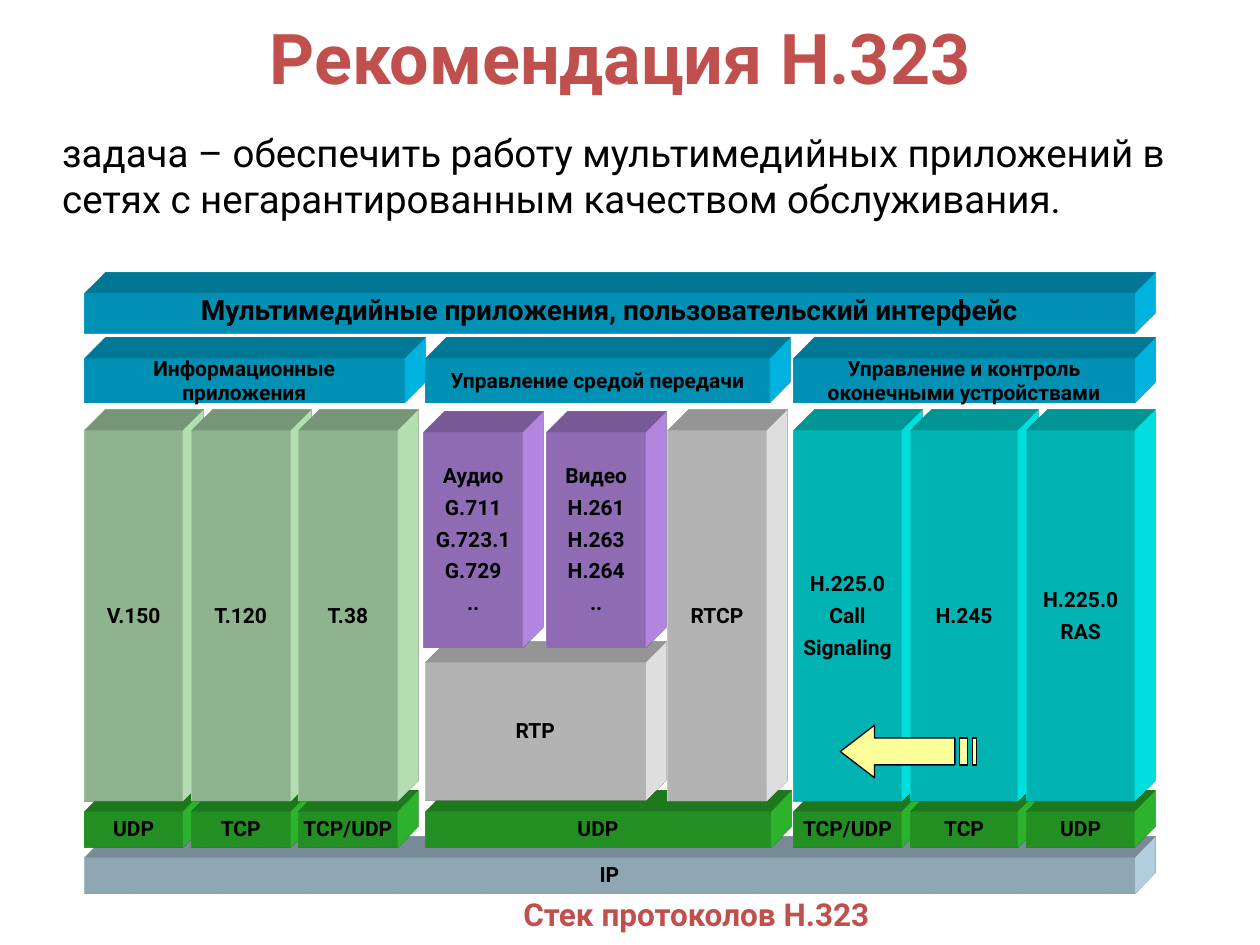
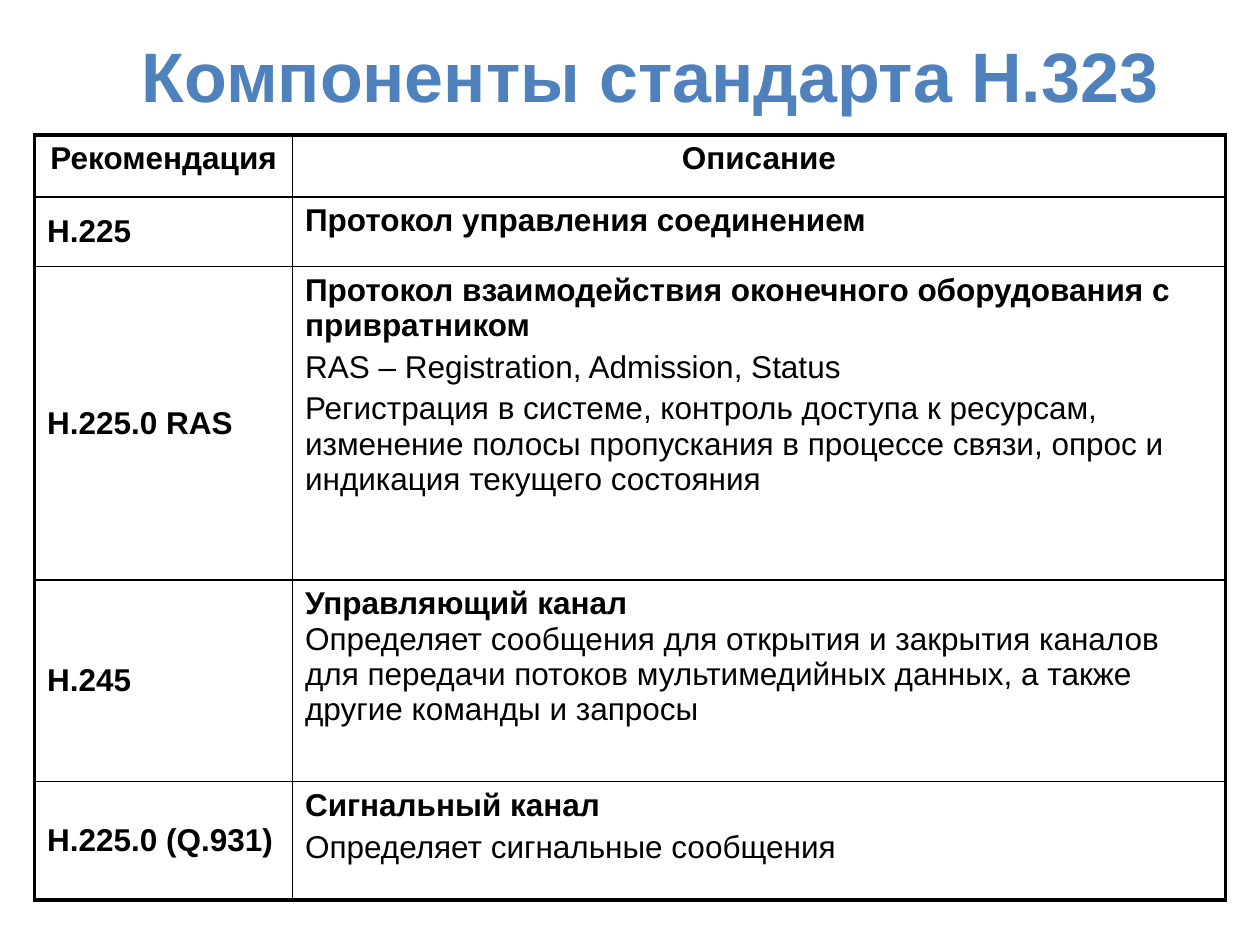
from dataclasses import dataclass
from typing import NamedTuple

from lxml import etree
from pptx import Presentation
from pptx.dml.color import RGBColor
from pptx.enum.shapes import MSO_SHAPE
from pptx.enum.text import MSO_ANCHOR, MSO_AUTO_SIZE, PP_ALIGN
from pptx.oxml.ns import qn
from pptx.util import Cm, Pt

RECT = MSO_SHAPE.RECTANGLE
LEFT, CENTER = PP_ALIGN.LEFT, PP_ALIGN.CENTER
TOP, MIDDLE = MSO_ANCHOR.TOP, MSO_ANCHOR.MIDDLE
TITLE_ONLY, TITLE_BODY = 5, 1


@dataclass(frozen=True)
class Theme:
    diagram_font: str = "Roboto"
    table_font: str = "Arial"
    ink: str = "000000"
    red: str = "C0504D"
    blue: str = "4F81BD"
    arrow: str = "FFFF99"
    app: str = "00CCFF"
    data: str = "CCFFCC"
    codec: str = "CC99FF"
    media: str = "FFFFFF"
    control: str = "00FFFF"
    transport: str = "33CC33"
    network: str = "CCECFF"
    title_size: int = 40
    body_size: int = 22
    text_size: int = 18
    app_size: int = 16
    block_size: int = 12


T = Theme()
DEPTH = Cm(1.2)


class Block(NamedTuple):
    text: str
    x: float
    y: float
    w: float
    h: float
    color: str


class Run(NamedTuple):
    text: str
    bold: bool = False


def rgb(color: str) -> RGBColor:
    return RGBColor.from_string(color)


def write(tf, text, *, size, font=T.diagram_font, color=T.ink, bold=False,
          align=LEFT, anchor=TOP, wrap=True, gap=0, spacing=1.0) -> None:
    """Fill a frame with a string, one paragraph to each of its lines."""
    tf.word_wrap = wrap
    tf.auto_size = MSO_AUTO_SIZE.NONE
    tf.vertical_anchor = anchor
    fill_paragraphs(tf, [[Run(line, bold)] for line in text.split("\n")],
                    size=size, font=font, color=color, align=align, gap=gap,
                    spacing=spacing)


def fill_paragraphs(tf, paragraphs, *, size, font, color=T.ink, align=LEFT,
                    gap=0, spacing=1.0) -> None:
    """Write paragraphs; the runs of one paragraph stand on separate lines."""
    for i, runs in enumerate(paragraphs):
        p = tf.add_paragraph() if i else tf.paragraphs[0]
        p.alignment = align
        p.line_spacing = spacing
        p.space_before = Pt(gap if i else 0)
        for j, run in enumerate(runs):
            if j:
                p.add_line_break()
            r = p.add_run()
            r.text = run.text
            r.font.name, r.font.size, r.font.bold = font, Pt(size), run.bold
            r.font.color.rgb = rgb(color)


def place(sp, x: float, y: float, w: float, h: float) -> None:
    sp.left, sp.top, sp.width, sp.height = Cm(x), Cm(y), Cm(w), Cm(h)


def set_title(s, text: str, box: tuple, font: str, color: str) -> None:
    place(s.shapes.title, *box)
    write(s.shapes.title.text_frame, text, size=T.title_size, font=font,
          color=color, bold=True, align=CENTER)


def paint(sp, color: str) -> None:
    sp.shadow.inherit = False
    sp.fill.solid()
    sp.fill.fore_color.rgb = rgb(color)


def extrude(sp, color: str) -> None:
    """Give a shape depth towards the top right."""
    spPr = sp._element.spPr
    scene = etree.SubElement(spPr, qn("a:scene3d"))
    etree.SubElement(scene, qn("a:camera"), prst="legacyObliqueTopRight")
    etree.SubElement(scene, qn("a:lightRig"), rig="legacyFlat3", dir="b")
    solid = etree.SubElement(spPr, qn("a:sp3d"), extrusionH=str(DEPTH),
                             prstMaterial="legacyMatte")
    for bevel in ("a:bevelT", "a:bevelB"):
        etree.SubElement(solid, qn(bevel), w="13500", h="13500", prst="angle")
    extrusion = etree.SubElement(solid, qn("a:extrusionClr"))
    etree.SubElement(extrusion, qn("a:srgbClr"), val=color)


def draw_block(s, b: Block, size=T.block_size, gap=4.5, spacing=0.95) -> None:
    sp = s.shapes.add_shape(RECT, Cm(b.x), Cm(b.y), Cm(b.w), Cm(b.h))
    paint(sp, b.color)
    sp.line.fill.background()
    extrude(sp, b.color)
    write(sp.text_frame, b.text, size=size, bold=True, align=CENTER,
          anchor=MIDDLE, wrap=False, gap=gap, spacing=spacing)


def row(texts: list, x: float, step: float, y: float, w: float, h: float,
        color: str) -> list:
    return [Block(t, x + i * step, y, w, h, color) for i, t in enumerate(texts)]


def draw_striped_arrow(s) -> None:
    tip, neck, end, mid, head, shaft = 16.94, 17.63, 19.25, 15.15, 0.53, 0.27
    top, bottom = mid - shaft, mid + shaft
    contours = [[(neck, mid - head), (neck, top), (end, top), (end, bottom),
                 (neck, bottom), (neck, mid + head), (tip, mid)]]
    for x1, x2 in [(19.35, 19.51), (19.61, 19.69)]:
        contours.append([(x2, top), (x2, bottom), (x1, bottom), (x1, top)])
    points = [[(Cm(x), Cm(y)) for x, y in c] for c in contours]
    builder = s.shapes.build_freeform(*points[0][0], scale=1.0)
    for i, contour in enumerate(points):
        if i:
            builder.move_to(*contour[0])
        builder.add_line_segments(contour[1:], close=True)
    sp = builder.convert_to_shape()
    paint(sp, T.arrow)
    sp.line.color.rgb = rgb(T.ink)
    sp.line.width = Pt(0.75)


def build_stack(prs) -> None:
    s = prs.slides.add_slide(prs.slide_layouts[TITLE_BODY])
    set_title(s, "Рекомендация H.323", (1.69, 0.16, 21.62, 1.24),
              T.diagram_font, T.red)

    # Statement of the task, without a bullet
    body = s.placeholders[1]
    place(body, 1, 2.47, 24.4, 2.13)
    pPr = body.text_frame.paragraphs[0]._p.get_or_add_pPr()
    pPr.set("marL", "0")
    pPr.set("indent", "0")
    etree.SubElement(pPr, qn("a:buNone"))
    write(body.text_frame, "задача – обеспечить работу мультимедийных приложений "
          "в сетях с негарантированным качеством обслуживания.", size=T.body_size)

    # Caption
    tb = s.shapes.add_textbox(Cm(10.3), Cm(17.91), Cm(7.92), Cm(1.02))
    write(tb.text_frame, "Стек протоколов Н.323", size=T.text_size, color=T.red,
          bold=True, anchor=MIDDLE, wrap=False)

    # Protocol blocks, from the network layer up
    data_x, data_step, data_w = 1.7, 2.16, 1.99
    media_x = 8.57
    control_x, control_step, control_w = 16, 2.35, 2.17
    port_y, port_h = 16.36, 0.72
    tall_y, tall_h = 8.68, 7.48
    blocks = [
        Block("IP", data_x, 17.29, 21.17, port_h, T.network),
        Block("UDP", media_x, port_y, 6.97, port_h, T.transport),
        Block("RTP", media_x, 13.35, 4.44, 2.8, T.media),
        Block("RTCP", 13.46, tall_y, data_w, tall_h, T.media),
        *row(["TCP/UDP", "TCP", "UDP"], control_x, control_step,
             port_y, control_w, port_h, T.transport),
        *row(["UDP", "TCP"], data_x, data_step,
             port_y, data_w, port_h, T.transport),
        *row(["Аудио\nG.711\nG.723.1\nG.729\n..", "Видео\nH.261\nH.263\nH.264\n.."],
             8.54, 2.48, 8.72, 2, 4.33, T.codec),
        *row(["V.150", "T.120"], data_x, data_step,
             tall_y, data_w, tall_h, T.data),
        Block("TCP/UDP", data_x + 2 * data_step, port_y, data_w, port_h, T.transport),
        Block("T.38", data_x + 2 * data_step, tall_y, data_w, tall_h, T.data),
        *row(["H.225.0\nCall\nSignaling", "H.245", "H.225.0\nRAS"],
             control_x, control_step, tall_y, control_w, tall_h, T.control),
    ]
    for block in blocks:
        draw_block(s, block)

    # Application headings
    group_y, group_h = 7.23, 0.89
    for block in [
        Block("Управление и контроль\nоконечными устройствами",
              control_x, group_y, 6.87, group_h, T.app),
        Block("Информационные\nприложения", data_x, group_y, 6.45, group_h, T.app),
        Block("Управление средой передачи", media_x, group_y, 6.95, group_h, T.app),
    ]:
        draw_block(s, block, gap=0, spacing=Pt(14))
    draw_block(s, Block("Мультимедийные приложения, пользовательский интерфейс",
                        data_x, 5.91, 21.17, 0.82, T.app),
               size=T.app_size, gap=0, spacing=Pt(14))
    draw_striped_arrow(s)


def set_borders(cell, widths: dict) -> None:
    tcPr = cell._tc.get_or_add_tcPr()
    for side in "LRTB":
        ln = etree.SubElement(tcPr, qn(f"a:ln{side}"), w=str(Pt(widths[side])))
        fill = etree.SubElement(ln, qn("a:solidFill"))
        etree.SubElement(fill, qn("a:srgbClr"), val=T.ink)


COMPONENTS = [
    ("Рекомендация", [[Run("Описание", True)]]),
    ("H.225", [[Run("Протокол управления соединением", True)]]),
    ("H.225.0 RAS", [
        [Run("Протокол взаимодействия оконечного оборудования с привратником", True)],
        [Run("RAS – Registration, Admission, Status")],
        [Run("Регистрация в системе, контроль доступа к ресурсам, изменение полосы "
             "пропускания в процессе связи, опрос и индикация текущего состояния")]]),
    ("H.245", [
        [Run("Управляющий канал", True),
         Run("Определяет сообщения для открытия и закрытия каналов для передачи "
             "потоков мультимедийных данных, а также другие команды и запросы")]]),
    ("H.225.0 (Q.931)", [[Run("Сигнальный канал", True)],
                         [Run("Определяет сигнальные сообщения")]]),
]


def build_components(prs) -> None:
    s = prs.slides.add_slide(prs.slide_layouts[TITLE_ONLY])
    set_title(s, "Компоненты стандарта Н.323", (1.49, 0.53, 23.22, 1.04),
              T.table_font, T.blue)

    # Table of recommendations
    widths, heights = [5.2, 18.8], [1.25, 1.4, 6.32, 4.07, 2.38]
    table = s.shapes.add_table(len(heights), len(widths), Cm(0.7), Cm(2.72),
                               Cm(sum(widths)), Cm(sum(heights))).table
    table.first_row = table.horz_banding = False
    for column, width in zip(table.columns, widths):
        column.width = Cm(width)
    last = len(heights) - 1
    thick, thin = 2.25, 1
    for i, (name, description) in enumerate(COMPONENTS):
        table.rows[i].height = Cm(heights[i])
        for j, paragraphs in enumerate([[[Run(name, True)]], description]):
            cell = table.cell(i, j)
            set_borders(cell, {"L": thin if j else thick, "R": thick if j else thin,
                               "T": thin if i else thick,
                               "B": thick if i == last else thin})
            cell.fill.background()
            cell.margin_left = cell.margin_right = Cm(0.25)
            cell.margin_top = cell.margin_bottom = Cm(0.13)
            cell.vertical_anchor = MIDDLE if i and not j else TOP
            fill_paragraphs(cell.text_frame, paragraphs, size=T.text_size,
                            font=T.table_font, gap=3.6,
                            align=LEFT if i else CENTER)


def main() -> None:
    prs = Presentation()
    prs.slide_width, prs.slide_height = Cm(25.4), Cm(19.05)
    build_stack(prs)
    build_components(prs)
    prs.save("out.pptx")


if __name__ == "__main__":
    main()
